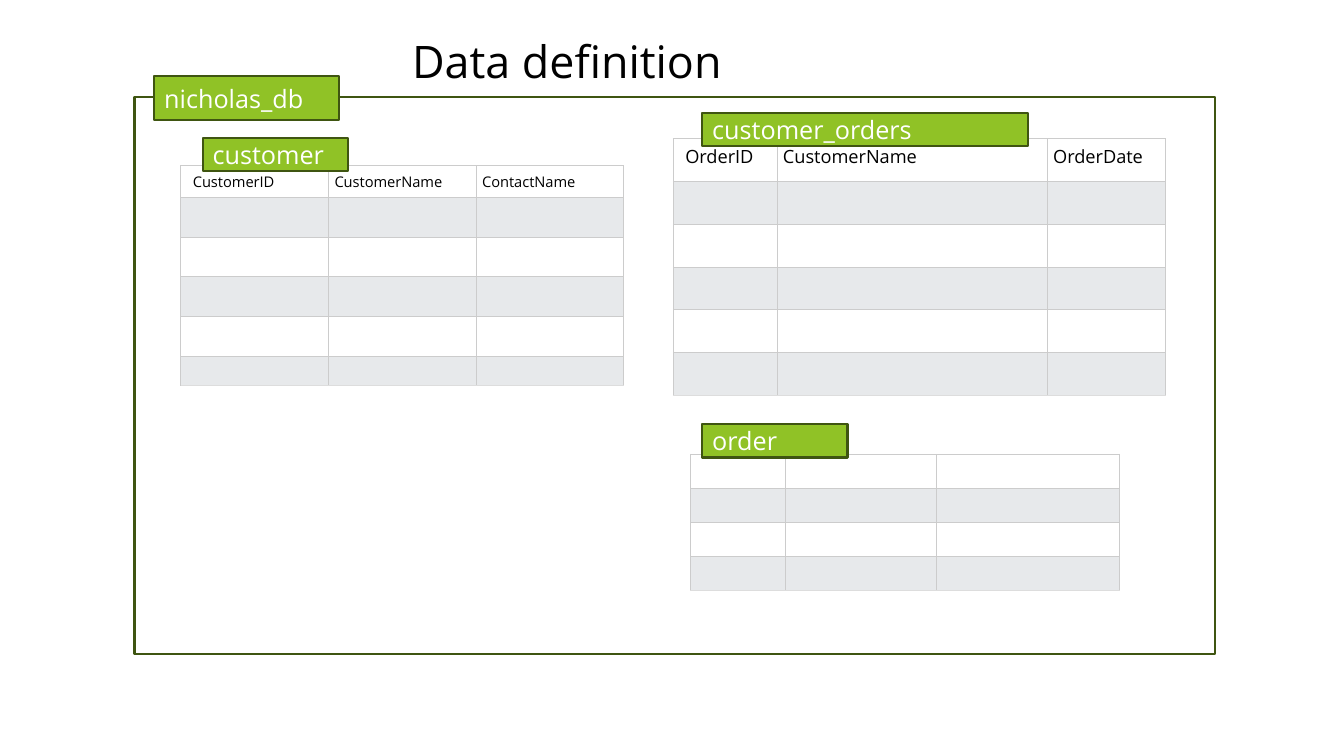
from lxml import etree
from pptx import Presentation
from pptx import util as u
from pptx.dml import color
from pptx.enum import shapes, text
from pptx.oxml import ns

FONT = "Open Sans"
GREEN, DARK_GREEN = "90C226", "3F5511"
WHITE, BLACK, GREY = "FFFFFF", "000000", "E7E9EB"
CELL_BORDER, BOTTOM_BORDER = "CCCCCC", "DDDDDD"
TAG_HEIGHT = 0.84


def rgb(hex_string):
    return color.RGBColor.from_string(hex_string)


def set_attributes(target, values):
    for name, value in values.items():
        setattr(target, name, value)


def write(paragraph, words, size, hex_string):
    run = paragraph.add_run()
    run.text = words
    set_attributes(run.font, {"name": FONT, "size": u.Pt(size), "bold": False})
    run.font.color.rgb = rgb(hex_string)
    paragraph.alignment = text.PP_ALIGN.LEFT


def add_title(slide, box, words):
    title = slide.shapes.title
    set_attributes(title, dict(zip(("left", "top", "width", "height"), map(u.Cm, box))))
    set_attributes(title.text_frame, {
        "word_wrap": True,
        "vertical_anchor": text.MSO_ANCHOR.TOP,
        "auto_size": text.MSO_AUTO_SIZE.NONE,
    })
    write(title.text_frame.paragraphs[0], words, 32, BLACK)


def add_rectangle(slide, box, fill=None):
    rectangle = slide.shapes.add_shape(shapes.MSO_SHAPE.RECTANGLE, *map(u.Cm, box))
    rectangle.shadow.inherit = False
    rectangle.line.color.rgb = rgb(DARK_GREEN)
    rectangle.line.width = u.Pt(1.5)
    if fill:
        rectangle.fill.solid()
        rectangle.fill.fore_color.rgb = rgb(fill)
    else:
        rectangle.fill.background()
    return rectangle


def add_tag(slide, box, words):
    frame = add_rectangle(slide, box, GREEN).text_frame
    set_attributes(frame, {"word_wrap": True, "vertical_anchor": text.MSO_ANCHOR.MIDDLE})
    write(frame.paragraphs[0], words, 18, WHITE)


def add_database(slide, box, name):
    """Draw the outline of the database, with its name tag across the top edge."""
    left, top, width, height = box
    add_rectangle(slide, box)
    add_tag(slide, (left + 0.5, top - 0.54, 4.66, 1.12), name)


def set_borders(cell, bottom):
    properties = cell._tc.get_or_add_tcPr()
    sides = {"lnL": CELL_BORDER, "lnR": CELL_BORDER, "lnT": CELL_BORDER, "lnB": bottom}
    for position, (side, hex_string) in enumerate(sides.items()):
        line = etree.Element(ns.qn(f"a:{side}"), w=str(u.Pt(0.75)))
        fill = etree.SubElement(line, ns.qn("a:solidFill"))
        etree.SubElement(fill, ns.qn("a:srgbClr"), val=hex_string)
        properties.insert(position, line)


def format_cell(cell, row, column, is_last_row, size):
    set_attributes(cell, {
        "margin_left": u.Cm(0.15 if column else 0.3),
        "margin_right": u.Cm(0.15),
        "margin_top": u.Cm(0.15),
        "margin_bottom": u.Cm(0.15),
    })
    set_borders(cell, BOTTOM_BORDER if is_last_row else CELL_BORDER)
    cell.fill.solid()
    cell.fill.fore_color.rgb = rgb(GREY if row % 2 else WHITE)
    end = cell.text_frame.paragraphs[0]._p.get_or_add_endParaRPr()
    end.set("sz", str(int(size * 100)))


def add_database_table(slide, corner, name, tag, columns, rows, headers, size):
    """Draw a table; tag gives its name tag's offset from the corner and width."""
    left, top = corner
    frame = slide.shapes.add_table(
        len(rows), len(columns), u.Cm(left), u.Cm(top), u.Cm(sum(columns)), u.Cm(sum(rows)))
    table = frame.table
    set_attributes(table, {"first_row": False, "horz_banding": False})
    for column, width in enumerate(columns):
        table.columns[column].width = u.Cm(width)
    for row, height in enumerate(rows):
        table.rows[row].height = u.Cm(height)
        for column in range(len(columns)):
            format_cell(table.cell(row, column), row, column, row == len(rows) - 1, size)
    for column, header in enumerate(headers):
        write(table.cell(0, column).text_frame.paragraphs[0], header, size, BLACK)
    across, up, tag_width = tag
    add_tag(slide, (left + across, top - up, tag_width, TAG_HEIGHT), name)


def main():
    presentation = Presentation()
    set_attributes(presentation, {"slide_width": u.Cm(33.87), "slide_height": u.Cm(19.05)})
    slide = presentation.slides.add_slide(presentation.slide_layouts[5])
    add_title(slide, (10.13, 0.71, 15.47, 1.63), "Data definition")
    add_database(slide, (3.39, 2.45, 27.23, 14.04), "nicholas_db")
    add_database_table(
        slide, (4.56, 4.17), "customer", (0.55, 0.69, 3.66),
        [3.72] * 3, [0.71] + [1] * 4 + [0.71],
        ["CustomerID", "CustomerName", "ContactName"], 10.5)
    add_database_table(
        slide, (16.97, 3.49), "customer_orders", (0.73, 0.65, 8.2),
        [2.61, 6.81, 2.98], [1.08] * 6,
        ["OrderID", "CustomerName", "OrderDate"], 13)
    add_database_table(
        slide, (17.4, 11.45), "order", (0.3, 0.76, 3.66),
        [2.4, 3.81, 4.6], [0.86] * 4, [], 13)
    presentation.save("out.pptx")


if __name__ == "__main__":
    main()
